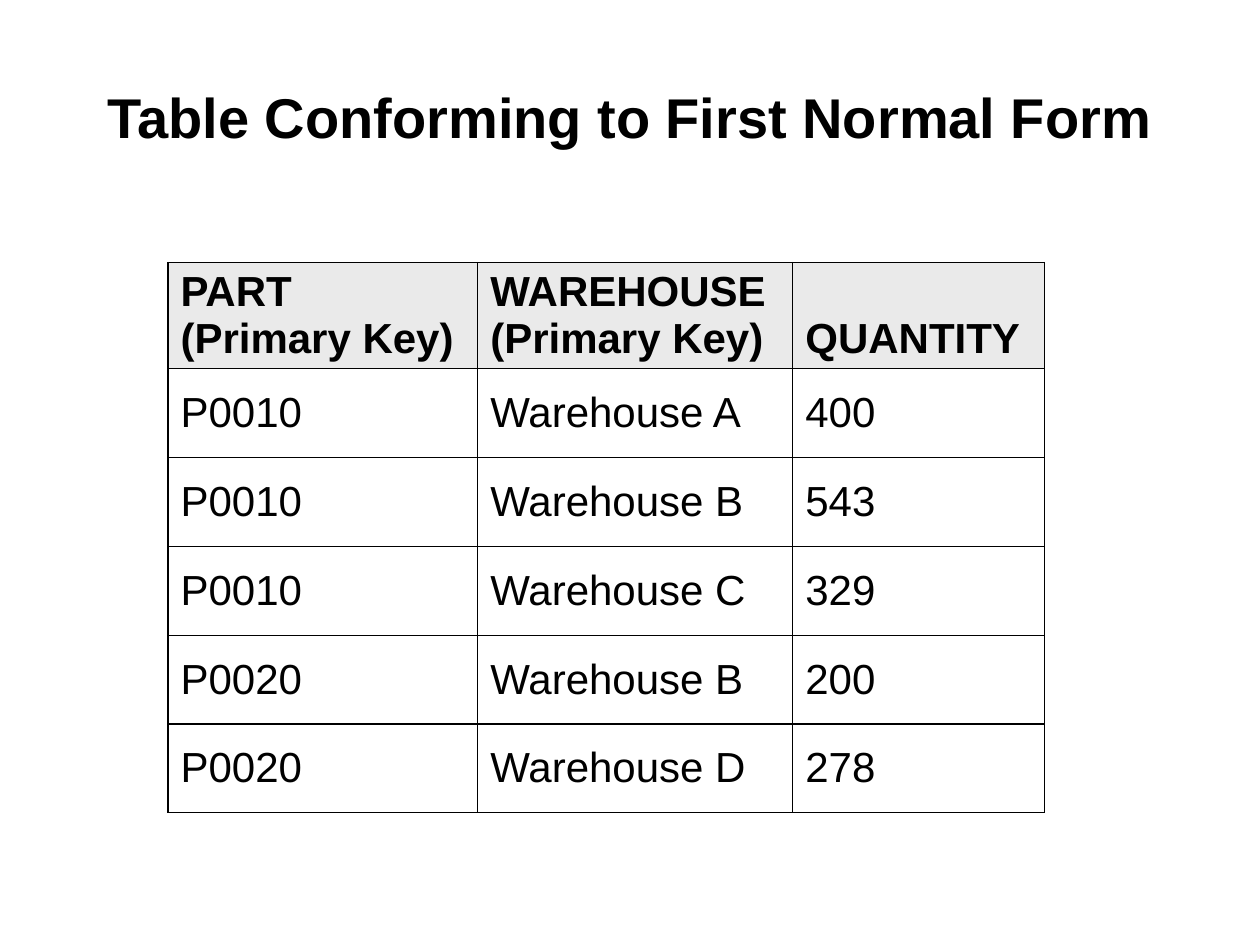
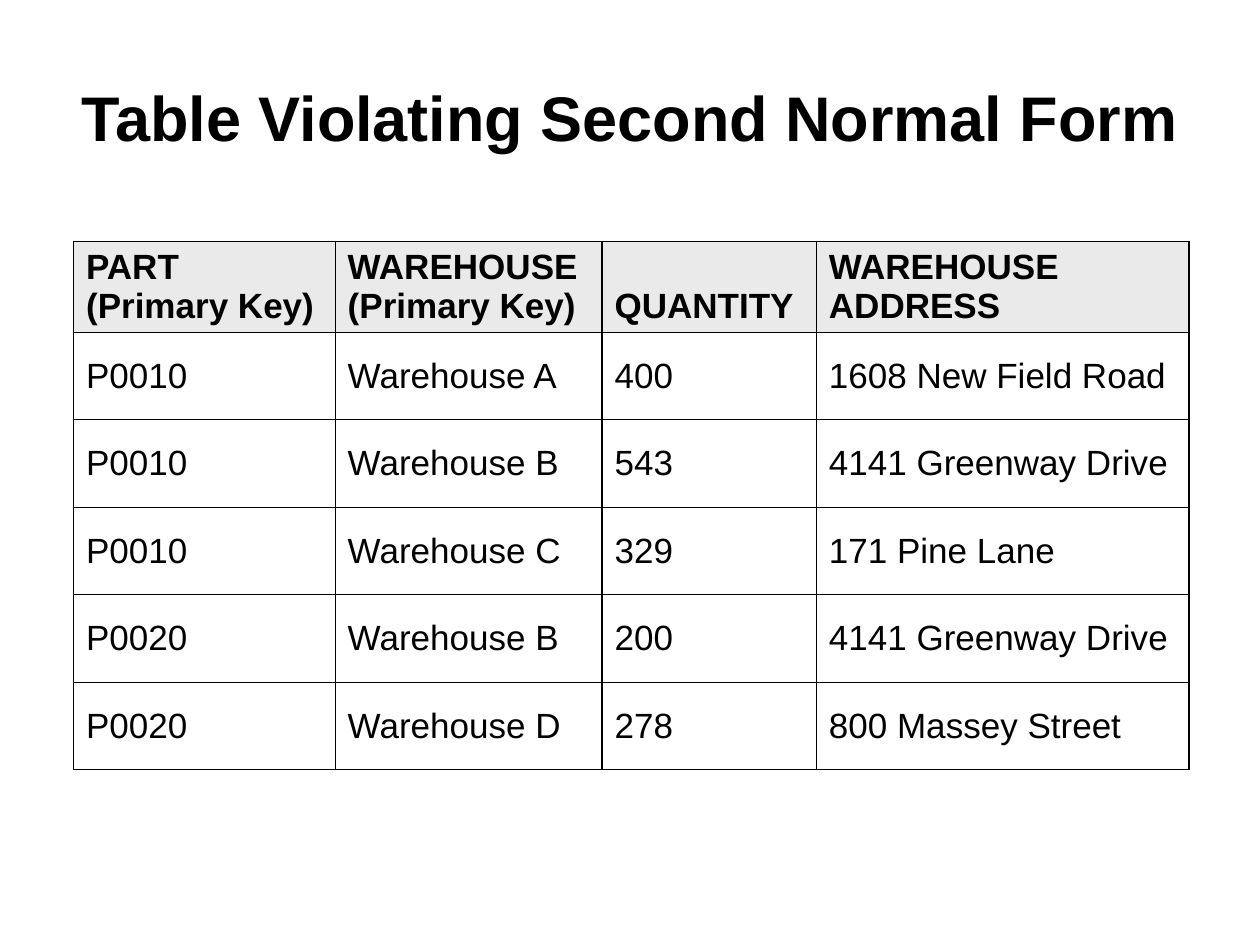
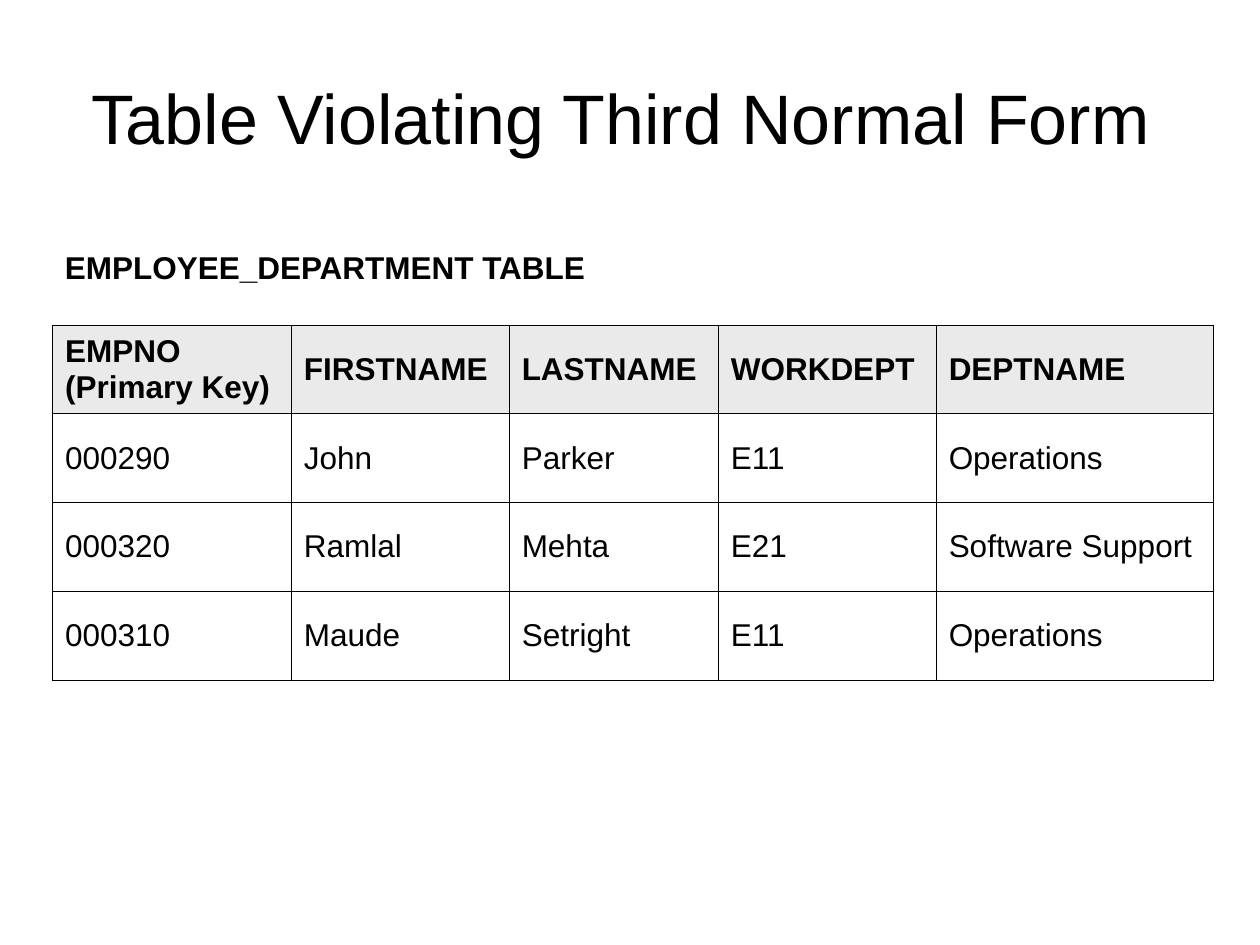
from dataclasses import dataclass

from lxml import etree
from pptx import Presentation
from pptx.dml.color import RGBColor
from pptx.enum.text import MSO_ANCHOR, MSO_AUTO_SIZE, PP_ALIGN
from pptx.oxml.ns import qn
from pptx.presentation import Presentation as Deck
from pptx.slide import Slide
from pptx.table import _Cell as Cell
from pptx.text.text import TextFrame
from pptx.util import Pt

MIDDLE = MSO_ANCHOR.MIDDLE
BOTTOM = MSO_ANCHOR.BOTTOM
CENTER = PP_ALIGN.CENTER
LEFT = PP_ALIGN.LEFT
NO_AUTOFIT = MSO_AUTO_SIZE.NONE
GROW_TO_TEXT = MSO_AUTO_SIZE.SHAPE_TO_FIT_TEXT

FONT = "Arial"
BLACK = RGBColor(0x00, 0x00, 0x00)
HEADER_GRAY = RGBColor(0xEA, 0xEA, 0xEA)
BORDER_WIDTH = Pt(0.75)
BORDER_SIDES = ("a:lnL", "a:lnR", "a:lnT", "a:lnB")
TITLE_ONLY = 5


@dataclass(frozen=True)
class Title:
    text: str
    size: float
    bold: bool = True


@dataclass(frozen=True)
class Caption:
    text: str
    size: float
    left: float
    top: float
    width: float
    height: float


@dataclass(frozen=True)
class Grid:
    """A table; lengths in points, line breaks in a header part its paragraphs."""
    left: float
    top: float
    column_widths: tuple[float, ...]
    header_height: float
    row_height: float
    font_size: float
    header_anchor: MSO_ANCHOR
    header: tuple[str, ...]
    body: tuple[tuple[str, ...], ...]


@dataclass(frozen=True)
class Page:
    title: Title
    grid: Grid
    caption: Caption | None = None


STOCK = (
    ("P0010", "Warehouse A", "400"),
    ("P0010", "Warehouse B", "543"),
    ("P0010", "Warehouse C", "329"),
    ("P0020", "Warehouse B", "200"),
    ("P0020", "Warehouse D", "278"),
)
STOCK_HEADER = ("PART\n(Primary Key)", "WAREHOUSE\n(Primary Key)", "QUANTITY")
ADDRESSES = {
    "Warehouse A": "1608 New Field Road",
    "Warehouse B": "4141 Greenway Drive",
    "Warehouse C": "171 Pine Lane",
    "Warehouse D": "800 Massey Street",
}
EMPLOYEES = (
    ("000290", "John", "Parker", "E11", "Operations"),
    ("000320", "Ramlal", "Mehta", "E21", "Software Support"),
    ("000310", "Maude", "Setright", "E11", "Operations"),
)

PAGES = (
    Page(
        Title("Table Conforming to First Normal Form", 32),
        Grid(96, 150, (177, 180, 144), 60.6, 50.75, 24, BOTTOM,
             STOCK_HEADER, STOCK),
    ),
    Page(
        Title("Table Violating Second Normal Form", 36),
        Grid(42, 138, (149.5, 152.5, 122.5, 213), 52, 50, 20, BOTTOM,
             STOCK_HEADER + ("WAREHOUSE\nADDRESS",),
             tuple(row + (ADDRESSES[row[1]],) for row in STOCK)),
    ),
    Page(
        Title("Table Violating Third Normal Form ", 40, bold=False),
        Grid(30, 186, (136.5, 124.5, 119.5, 124.5, 158.5), 50.25, 50.75, 18, MIDDLE,
             ("EMPNO\n(Primary Key)", "FIRSTNAME", "LASTNAME", "WORKDEPT", "DEPTNAME"),
             EMPLOYEES),
        Caption("EMPLOYEE_DEPARTMENT TABLE", 18, 30, 138, 314.5, 29),
    ),
)


def write_text(frame: TextFrame, text: str, size: float, bold: bool,
               alignment: PP_ALIGN = LEFT) -> None:
    for index, line in enumerate(text.split("\n")):
        para = frame.add_paragraph() if index else frame.paragraphs[0]
        para.alignment = alignment
        span = para.add_run()
        span.text = line
        span.font.name = FONT
        span.font.size = Pt(size)
        span.font.bold = bold
        span.font.color.rgb = BLACK


def draw_title(slide: Slide, title: Title) -> None:
    box = slide.shapes.title
    box.left, box.top, box.width, box.height = Pt(36), Pt(21.6), Pt(648), Pt(90)
    frame = box.text_frame
    frame.word_wrap = True
    frame.auto_size = NO_AUTOFIT
    frame.vertical_anchor = MIDDLE
    write_text(frame, title.text, title.size, title.bold, CENTER)


def draw_caption(slide: Slide, caption: Caption) -> None:
    box = slide.shapes.add_textbox(Pt(caption.left), Pt(caption.top),
                                   Pt(caption.width), Pt(caption.height))
    frame = box.text_frame
    frame.word_wrap = False
    frame.auto_size = GROW_TO_TEXT
    frame.vertical_anchor = MIDDLE
    write_text(frame, caption.text, caption.size, bold=True)


def add_borders(cell: Cell) -> None:
    properties = cell._tc.get_or_add_tcPr()
    for index, side in enumerate(BORDER_SIDES):
        line = etree.Element(qn(side), w=str(BORDER_WIDTH))
        fill = etree.SubElement(line, qn("a:solidFill"))
        etree.SubElement(fill, qn("a:srgbClr"), val=str(BLACK))
        properties.insert(index, line)


def draw_grid(slide: Slide, grid: Grid) -> None:
    rows = (grid.header,) + grid.body
    heights = [grid.header_height] + [grid.row_height] * len(grid.body)
    table = slide.shapes.add_table(
        len(rows), len(grid.header), Pt(grid.left), Pt(grid.top),
        Pt(sum(grid.column_widths)), Pt(sum(heights))).table
    table.horz_banding = False
    for column, width in zip(table.columns, grid.column_widths):
        column.width = Pt(width)
    for row_index, (texts, height) in enumerate(zip(rows, heights)):
        is_header = row_index == 0
        table.rows[row_index].height = Pt(height)
        for column_index, text in enumerate(texts):
            cell = table.cell(row_index, column_index)
            cell.vertical_anchor = grid.header_anchor if is_header else MIDDLE
            if is_header:
                cell.fill.solid()
                cell.fill.fore_color.rgb = HEADER_GRAY
            else:
                cell.fill.background()
            add_borders(cell)
            write_text(cell.text_frame, text, grid.font_size, is_header)


def draw_page(deck: Deck, page: Page) -> None:
    slide = deck.slides.add_slide(deck.slide_layouts[TITLE_ONLY])
    draw_title(slide, page.title)
    if page.caption:
        draw_caption(slide, page.caption)
    draw_grid(slide, page.grid)


def main() -> None:
    deck = Presentation()
    deck.slide_width, deck.slide_height = Pt(720), Pt(540)
    for page in PAGES:
        draw_page(deck, page)
    deck.save("out.pptx")


if __name__ == "__main__":
    main()
